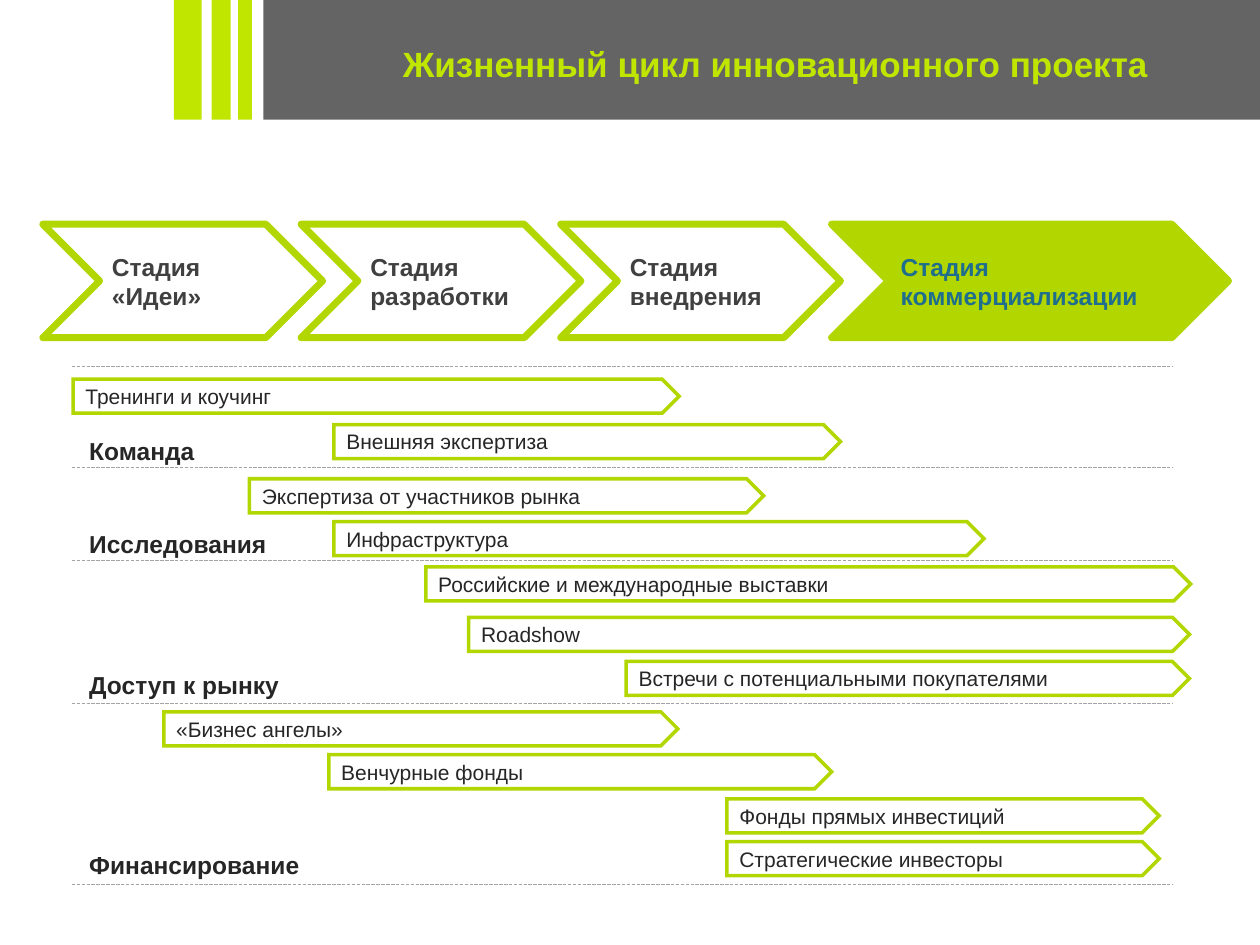
from dataclasses import dataclass
from typing import NamedTuple

from lxml.etree import SubElement
from pptx import Presentation
from pptx.dml.color import RGBColor
from pptx.enum.dml import MSO_LINE
from pptx.enum.shapes import MSO_CONNECTOR, MSO_SHAPE
from pptx.enum.text import MSO_ANCHOR, PP_ALIGN
from pptx.oxml.ns import qn
from pptx.util import Inches, Pt


@dataclass(frozen=True)
class Theme:
    font: str = "Arial"
    band: str = "646464"
    accent: str = "C0E600"
    arrow: str = "B2D700"
    divider: str = "A3A3A3"
    stage_text: str = "404040"
    active_text: str = "1F6E8E"
    body_text: str = "262626"
    title_size: int = 20
    heading_size: int = 14
    bar_size: int = 12


class Stripe(NamedTuple):
    left: float
    width: float
    color: str


class Stage(NamedTuple):
    name: str
    left: float
    width: float = 2.22
    active: bool = False


class Activity(NamedTuple):
    name: str
    left: float
    top: float
    width: float


class Area(NamedTuple):
    name: str
    label_top: float
    divider: float
    activities: tuple[Activity, ...]


THEME = Theme()
HEADER_HEIGHT = 0.95
STAGE_TOP, STAGE_HEIGHT = 1.78, 0.9
BAR_HEIGHT = 0.27
DIVIDER_LEFT, DIVIDER_RIGHT, FIRST_DIVIDER = 0.57, 9.31, 2.91

STRIPES = (
    Stripe(2.09, 7.91, THEME.band),
    Stripe(1.68, 0.15, THEME.accent),
    Stripe(1.38, 0.22, THEME.accent),
    Stripe(1.89, 0.11, THEME.accent),
)
STAGES = (
    Stage("Стадия коммерциализации", 6.6, 3.15, True),
    Stage("Стадия «Идеи»", 0.34),
    Stage("Стадия разработки", 2.39),
    Stage("Стадия внедрения", 4.45),
)
AREAS = (
    Area("Команда", 3.41, 3.71, (
        Activity("Тренинги и коучинг", 0.58, 3.01, 4.81),
        Activity("Внешняя экспертиза", 2.65, 3.37, 4.02),
    )),
    Area("Исследования", 4.15, 4.45, (
        Activity("Экспертиза от участников рынка", 1.98, 3.8, 4.08),
        Activity("Инфраструктура", 2.65, 4.14, 5.16),
    )),
    Area("Доступ к рынку", 5.27, 5.58, (
        Activity("Российские и международные выставки", 3.38, 4.5, 6.07),
        Activity("Roadshow", 3.72, 4.9, 5.72),
        Activity("Встречи с потенциальными покупателями", 4.97, 5.25, 4.47),
    )),
    Area("Финансирование", 6.7, 7.02, (
        Activity("«Бизнес ангелы»", 1.3, 5.65, 4.08),
        Activity("Венчурные фонды", 2.61, 5.99, 3.99),
        Activity("Фонды прямых инвестиций", 5.77, 6.34, 3.43),
        Activity("Стратегические инвесторы", 5.77, 6.68, 3.43),
    )),
)


def rgb(color: str) -> RGBColor:
    return RGBColor.from_string(color)


def write(frame, text: str, size: int, color: str, bold: bool = True,
          align=PP_ALIGN.LEFT, anchor=MSO_ANCHOR.TOP) -> None:
    frame.word_wrap = True
    frame.vertical_anchor = anchor
    paragraph = frame.paragraphs[0]
    paragraph.alignment = align
    run = paragraph.add_run()
    run.text = text
    run.font.name = THEME.font
    run.font.size = Pt(size)
    run.font.bold = bold
    run.font.color.rgb = rgb(color)


def add_preset(slide, preset, left: float, top: float, width: float, height: float,
               fill: str | None = None, line_width: float = 0):
    """Add a shape without shadow; a missing fill or line width means none."""
    shape = slide.shapes.add_shape(
        preset, Inches(left), Inches(top), Inches(width), Inches(height))
    shape.shadow.inherit = False
    if fill:
        shape.fill.solid()
        shape.fill.fore_color.rgb = rgb(fill)
    else:
        shape.fill.background()
    if line_width:
        shape.line.color.rgb = rgb(THEME.arrow)
        shape.line.width = Pt(line_width)
    else:
        shape.line.fill.background()
    return shape


def add_stage(slide, stage: Stage) -> None:
    chevron = add_preset(slide, MSO_SHAPE.CHEVRON, stage.left, STAGE_TOP, stage.width,
                         STAGE_HEIGHT, THEME.arrow if stage.active else None, 4)
    SubElement(chevron.line._get_or_add_ln(), qn("a:round"))
    chevron.text_frame.margin_right = 0
    write(chevron.text_frame, stage.name, THEME.heading_size,
          THEME.active_text if stage.active else THEME.stage_text,
          anchor=MSO_ANCHOR.MIDDLE)


def add_activity(slide, activity: Activity) -> None:
    bar = add_preset(slide, MSO_SHAPE.PENTAGON, activity.left, activity.top,
                     activity.width, BAR_HEIGHT, line_width=2)
    SubElement(bar.line._get_or_add_ln(), qn("a:miter"), lim="800000")
    bar.text_frame.margin_top = bar.text_frame.margin_bottom = 0
    write(bar.text_frame, activity.name, THEME.bar_size, THEME.body_text,
          bold=False, anchor=MSO_ANCHOR.MIDDLE)


def add_divider(slide, y: float) -> None:
    divider = slide.shapes.add_connector(
        MSO_CONNECTOR.STRAIGHT, Inches(DIVIDER_LEFT), Inches(y),
        Inches(DIVIDER_RIGHT), Inches(y))
    divider.line.color.rgb = rgb(THEME.divider)
    divider.line.width = Pt(0.25)
    divider.line.dash_style = MSO_LINE.LONG_DASH
    SubElement(divider._element.spPr, qn("a:effectLst"))


def add_area(slide, area: Area) -> None:
    add_divider(slide, area.divider)
    label = slide.shapes.add_textbox(
        Inches(0.61), Inches(area.label_top), Inches(2.77), Inches(0.37))
    write(label.text_frame, area.name, THEME.heading_size, THEME.body_text)
    for activity in area.activities:
        add_activity(slide, activity)


def place_title(slide, text: str) -> None:
    """Fill the title placeholder and bring it in front of the header band."""
    title = slide.shapes.title
    title.left, title.top = Inches(2.31), Inches(0.29)
    title.width, title.height = Inches(7.69), Inches(0.66)
    write(title.text_frame, text, THEME.title_size, THEME.accent, align=PP_ALIGN.CENTER)
    slide.shapes._spTree.append(title._element)


def main() -> None:
    deck = Presentation()
    deck.slide_width, deck.slide_height = Inches(10), Inches(7.5)
    slide = deck.slides.add_slide(deck.slide_layouts.get_by_name("Title Only"))
    for stripe in STRIPES:
        add_preset(slide, MSO_SHAPE.RECTANGLE, stripe.left, 0, stripe.width,
                   HEADER_HEIGHT, stripe.color)
    for stage in STAGES:
        add_stage(slide, stage)
    add_divider(slide, FIRST_DIVIDER)
    for area in AREAS:
        add_area(slide, area)
    place_title(slide, "Жизненный цикл инновационного проекта")
    deck.save("out.pptx")


if __name__ == "__main__":
    main()
